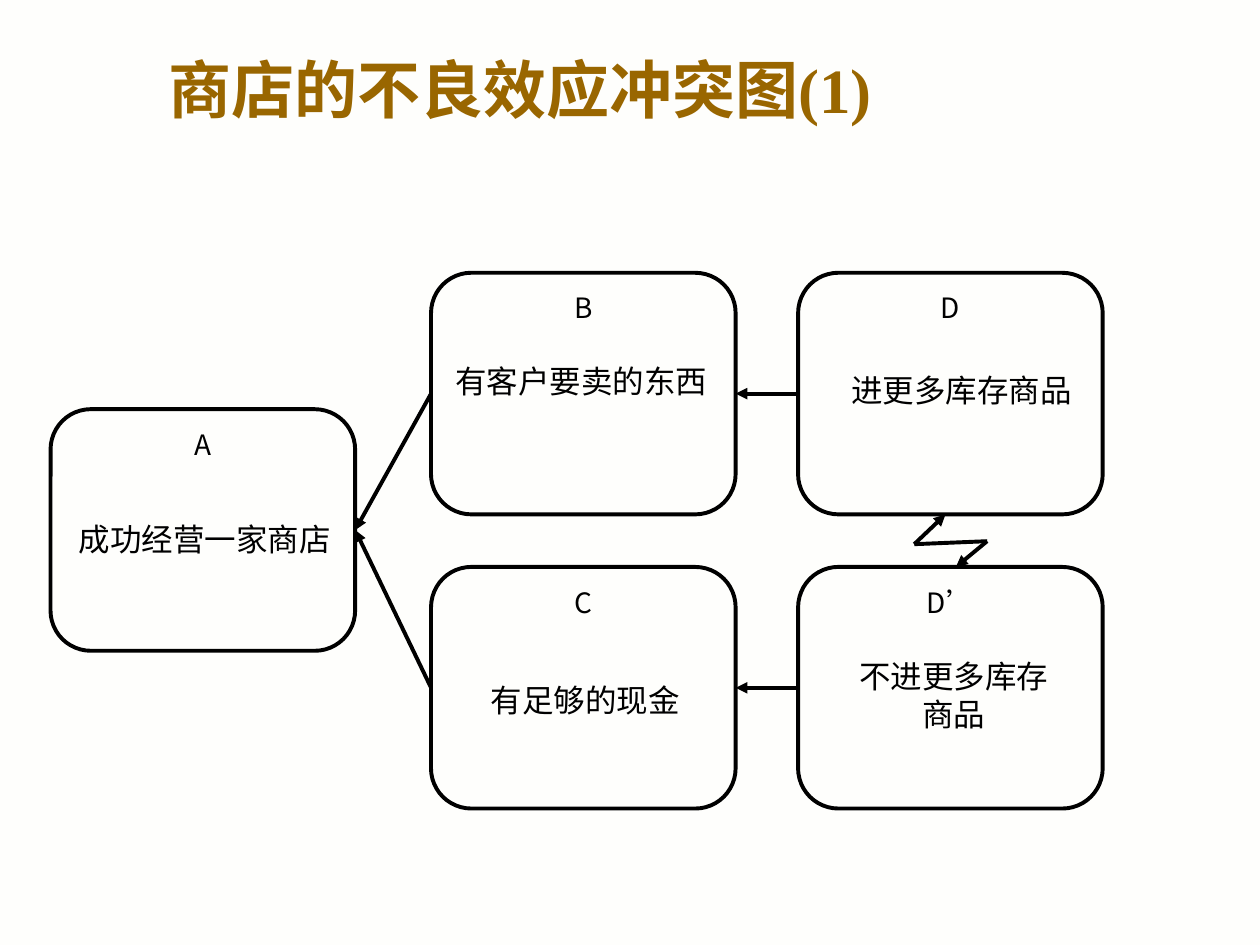
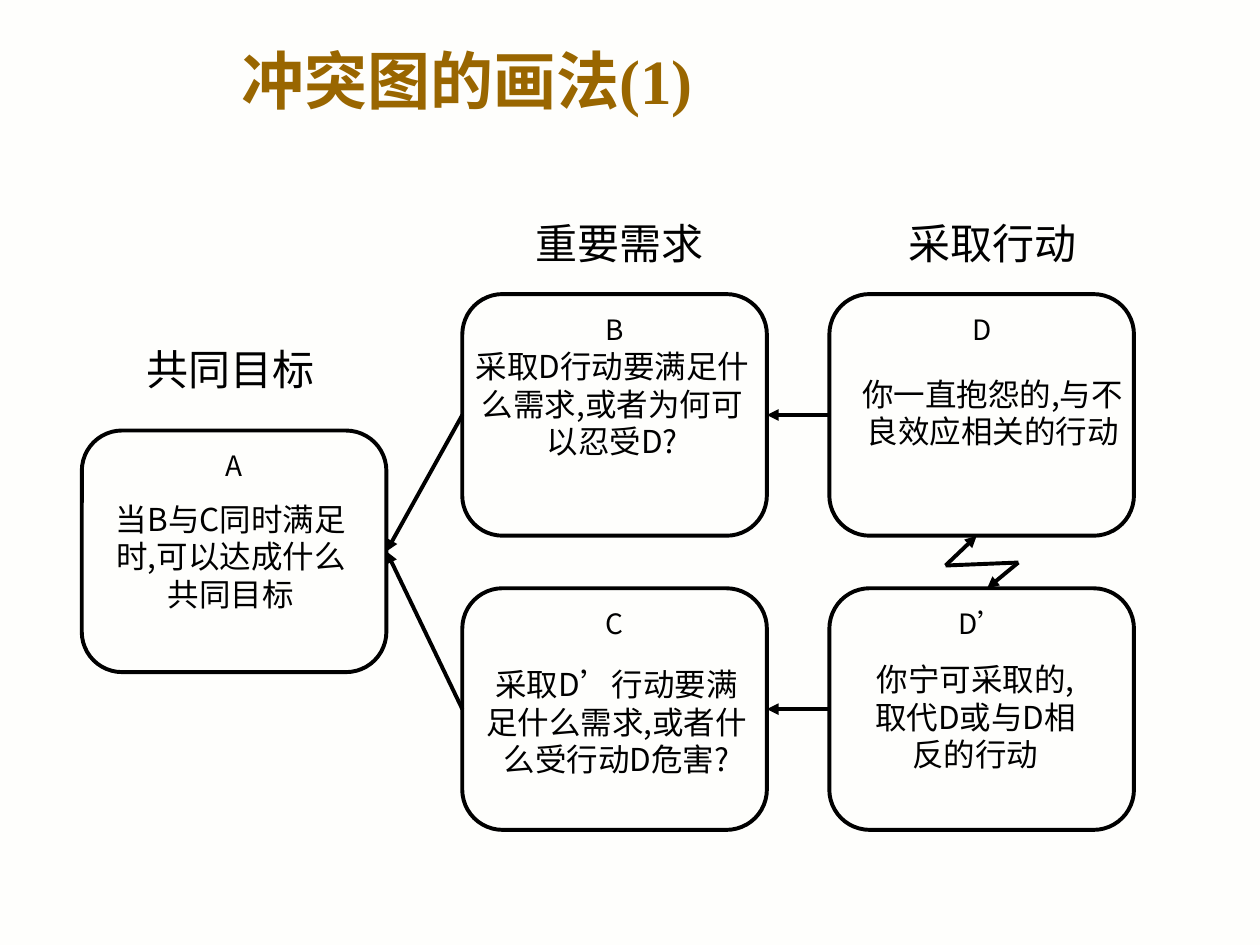
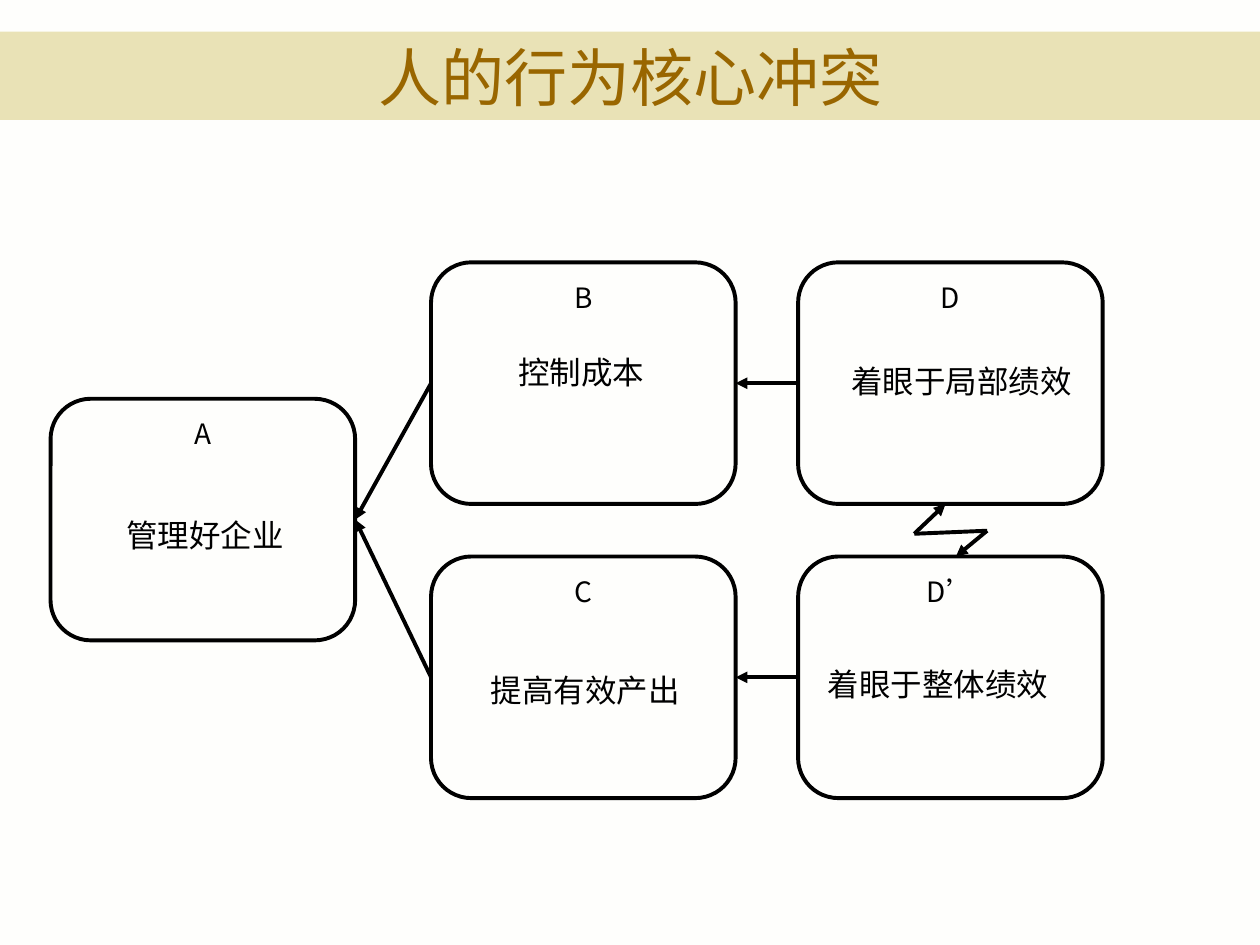
from lxml import etree
from pptx import Presentation
from pptx import util as u
from pptx.dml.color import RGBColor
from pptx.enum import shapes, text
from pptx.oxml.ns import qn

COLORS = {"page": "FEFEFC", "ink": "000000", "title": "996600", "band": "E9E2B6"}
SANS, SERIF = "Noto Sans CJK SC", "Times New Roman"
FORMATS = {
    "title": {"size": u.Pt(36), "name": SERIF, "bold": True},
    "band": {"size": u.Pt(36), "name": "Arial", "bold": False},
    "heading": {"size": u.Pt(24), "name": SERIF},
    "label": {"size": u.Pt(16), "name": SANS},
    "body": {"size": u.Pt(18), "name": SANS},
}
LINE_WIDTH = u.Pt(2.25)

# Diagram measures in cm, from the left of A and the top of B
BOX_W, BOX_H, ROW_STEP = 6.14, 4.87, 5.93
COL_B, COL_D = 7.67, 15.07
BOXES = {
    "A": (0, 2.75),
    "B": (COL_B, 0),
    "C": (COL_B, ROW_STEP),
    "D": (COL_D, 0),
    "D’": (COL_D, ROW_STEP),
}
ARROWS = [("B", "A"), ("C", "A"), ("D", "B"), ("D’", "C")]
# Conflict mark, from the lower left corner of D
ZIGZAG = [(2.97, 0), (2.34, 0.6), (3.81, 0.54), (3.18, ROW_STEP - BOX_H)]

# Box texts: left and top within the box, width, number of lines, wording
SHOP = {
    "A": (0, 2.11, 6.22, 1, "成功经营一家商店"),
    "B": (-0.05, 1.68, 6.15, 1, "有客户要卖的东西"),
    "C": (0.15, 2.18, 5.92, 1, "有足够的现金"),
    "D": (0.18, 1.85, 6.22, 1, "进更多库存商品"),
    "D’": (0.81, 1.7, 4.65, 2, "不进更多库存商品"),
}
METHOD = {
    "A": (0.25, 1.27, 5.51, 3, "当B与C同时满足时,可以达成什么共同目标"),
    "B": (-0.05, 0.94, 6.15, 3, "采取D行动要满足什么需求,或者为何可以忍受D?"),
    "C": (0.15, 1.04, 5.92, 4, "采取D’行动要满足什么需求,或者什么受行动D危害?"),
    "D": (0.18, 1.5, 6.22, 2, "你一直抱怨的,与不良效应相关的行动"),
    "D’": (0.43, 1.32, 5.03, 3, "你宁可采取的,取代D或与D相反的行动"),
}
BEHAVIOUR = {
    "A": (0, 2.24, 6.22, 1, "管理好企业"),
    "B": (-0.05, 1.7, 6.15, 1, "控制成本"),
    "C": (0.15, 2.18, 5.92, 1, "提高有效产出"),
    "D": (0.18, 1.88, 6.22, 1, "着眼于局部绩效"),
    "D’": (0.18, 2.06, 5.28, 1, "着眼于整体绩效"),
}
# Headings: left, top and width within the diagram, wording
HEADINGS = [
    (-0.18, 0.86, 6.35, "共同目标"),
    (8.08, -1.68, 5.51, "重要需求"),
    (15.49, -1.68, 5.72, "采取行动"),
]


def rgb(name):
    return RGBColor.from_string(COLORS[name])


def cm(*lengths):
    return [u.Cm(length) for length in lengths]


def write(sp, wording, style, color="ink", anchor=text.MSO_ANCHOR.MIDDLE, wrap=True):
    tf = sp.text_frame
    frame = {"auto_size": text.MSO_AUTO_SIZE.NONE, "word_wrap": wrap,
             "vertical_anchor": anchor,
             "margin_left": u.Cm(0.25), "margin_right": u.Cm(0.25),
             "margin_top": u.Cm(0.13), "margin_bottom": u.Cm(0.13)}
    for key, value in frame.items():
        setattr(tf, key, value)
    p = tf.paragraphs[0]
    p.alignment = text.PP_ALIGN.CENTER
    r = p.add_run()
    r.text = wording
    for key, value in FORMATS[style].items():
        setattr(r.font, key, value)
    r.font.color.rgb = rgb(color)
    etree.SubElement(r.font._element, qn("a:ea"), typeface=SANS)


def add_title(s, box, wording, style):
    sp = s.shapes.title
    sp.left, sp.top, sp.width, sp.height = cm(*box)
    write(sp, wording, style, "title")
    if style == "band":
        sp.fill.solid()
        sp.fill.fore_color.rgb = rgb("band")


def add_text(s, x, y, w, h, wording, style):
    write(s.shapes.add_textbox(*cm(x, y, w, h)), wording, style)


def add_box(s, x, y, label):
    sp = s.shapes.add_shape(shapes.MSO_SHAPE.ROUNDED_RECTANGLE, *cm(x, y, BOX_W, BOX_H))
    sp.shadow.inherit = False
    sp.fill.background()
    sp.line.color.rgb = rgb("ink")
    sp.line.width = LINE_WIDTH
    write(sp, label, "label", anchor=text.MSO_ANCHOR.TOP, wrap=False)
    return sp


def add_line(s, start=(0, 0), end=(0, 0), arrow=True):
    line = s.shapes.add_connector(shapes.MSO_CONNECTOR.STRAIGHT, *cm(*start, *end))
    line.line.color.rgb = rgb("ink")
    line.line.width = LINE_WIDTH
    if arrow:
        etree.SubElement(line.line._get_or_add_ln(), qn("a:tailEnd"), type="triangle")
    etree.SubElement(line._element.spPr, qn("a:effectLst"))
    return line


def add_zigzag(s, x, y):
    top, left, right, bottom = [(x + dx, y + dy) for dx, dy in ZIGZAG]
    add_line(s, left, top)
    add_line(s, right, bottom)
    add_line(s, left, right, arrow=False)


def add_conflict_diagram(s, x, y, texts, headings=()):
    """Draw the five boxes A to D’ with their arrows, texts and column headings."""
    boxes = {label: add_box(s, x + dx, y + dy, label) for label, (dx, dy) in BOXES.items()}
    for source, target in ARROWS:
        line = add_line(s)
        line.begin_connect(boxes[source], 1)
        line.end_connect(boxes[target], 3)
    add_zigzag(s, x + COL_D, y + BOX_H)
    for label, (dx, dy, w, lines, wording) in texts.items():
        box_x, box_y = BOXES[label]
        add_text(s, x + box_x + dx, y + box_y + dy, w, 0.25 + 0.76 * lines, wording, "body")
    for dx, dy, w, wording in headings:
        add_text(s, x + dx, y + dy, w, 1.27, wording, "heading")


def main():
    prs = Presentation()
    prs.slide_width, prs.slide_height = cm(25.4, 19.05)
    fill = prs.slide_master.background.fill
    fill.solid()
    fill.fore_color.rgb = rgb("page")

    slides = [
        ((0, 0.84, 20.96, 1.9), "商店的不良效应冲突图(1)", "title", (1.02, 5.5), SHOP, ()),
        ((0, 0.64, 18.84, 1.9), "冲突图的画法(1)", "title", (1.65, 5.93), METHOD, HEADINGS),
        ((0, 0.64, 25.4, 1.78), "人的行为核心冲突", "band", (1.02, 5.29), BEHAVIOUR, ()),
    ]
    for title_box, title, style, origin, texts, headings in slides:
        s = prs.slides.add_slide(prs.slide_layouts[5])
        add_title(s, title_box, title, style)
        add_conflict_diagram(s, *origin, texts, headings)
    prs.save("out.pptx")


if __name__ == "__main__":
    main()
